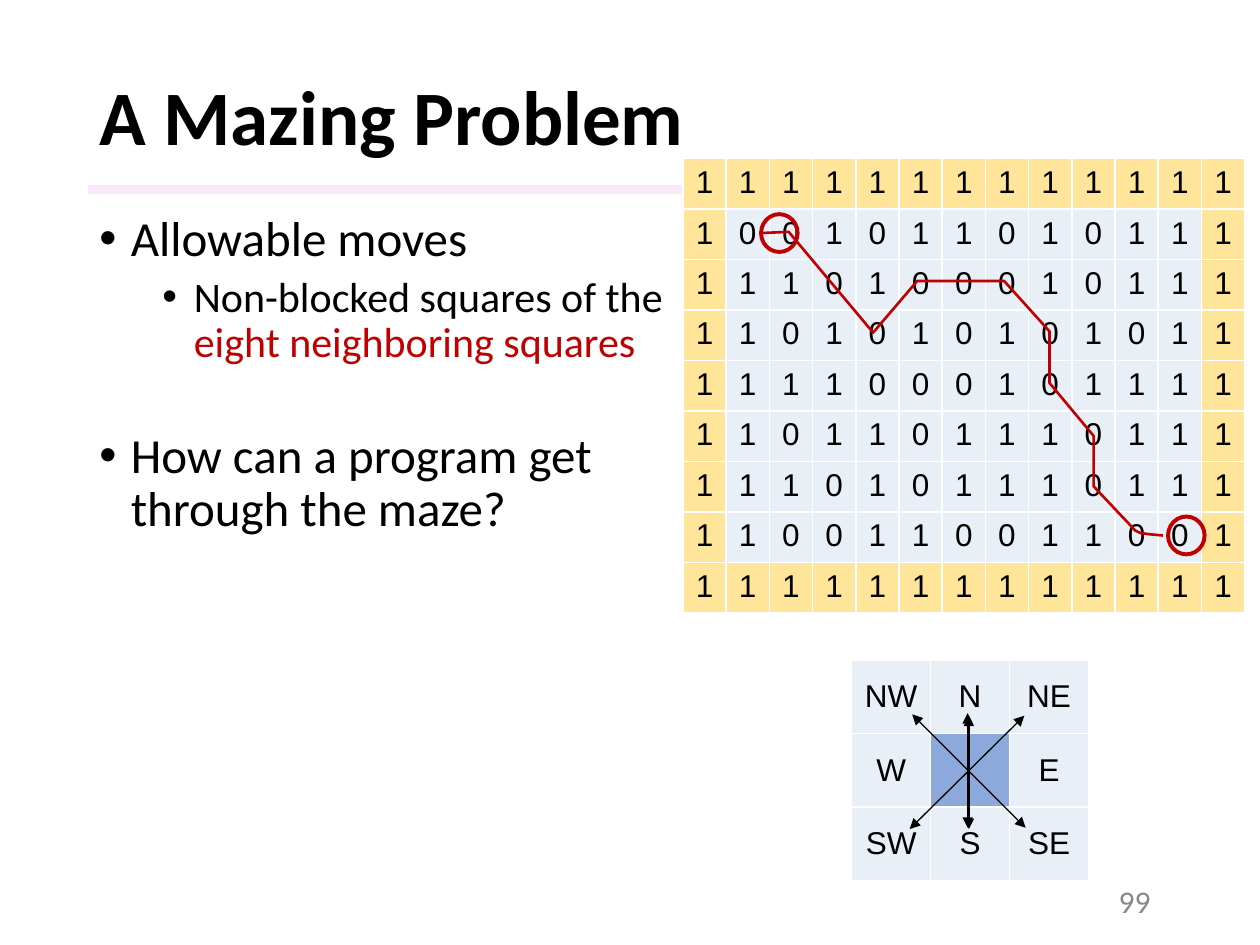
"""Build the maze problem slide with its grid, solution path and compass of moves."""
from lxml import etree
from pptx import Presentation
from pptx import util as u
from pptx.dml import color
from pptx.enum import shapes, text
from pptx.oxml import ns

THEME = {
    "ink": "000000", "accent": "C00000", "muted": "888888", "rule": "F3D2F4",
    "wall": "FEE599", "floor": "E9EFF7", "center": "8DA9DB",
    "body_font": "Calibri", "grid_font": "Arial",
    "title_size": 44, "point_size": 28, "detail_size": 24, "small_size": 18,
}
MAZE = [
    "1111111111111",
    "1001011010111",
    "1110100010111",
    "1101010101011",
    "1111000101111",
    "1101101110111",
    "1110101110111",
    "1100110011001",
    "1111111111111",
]
COMPASS = [["NW", "N", "NE"], ["W", "", "E"], ["SW", "S", "SE"]]


def style(target, ink=None, **values):
    for name, value in values.items():
        setattr(target, name, value)
    if ink:
        target.color.rgb = color.RGBColor.from_string(THEME[ink])


def add_grid(slide, box, rows, anchor, fill_for):
    frame = slide.shapes.add_table(len(rows), len(rows[0]), *map(u.Inches, box))
    table = frame.table
    style(table, first_row=False, horz_banding=False)
    for column in table.columns:
        column.width = int(u.Inches(box[2]) / len(rows[0]))
    for row_index, row in enumerate(rows):
        table.rows[row_index].height = int(u.Inches(box[3]) / len(rows))
        for column_index, label in enumerate(row):
            cell = table.cell(row_index, column_index)
            cell.fill.solid()
            fill = THEME[fill_for(row_index, column_index)]
            cell.fill.fore_color.rgb = color.RGBColor.from_string(fill)
            cell.vertical_anchor = anchor
            if label:
                paragraph = cell.text_frame.paragraphs[0]
                paragraph.alignment = text.PP_ALIGN.CENTER
                run = paragraph.add_run()
                run.text = label
                style(run.font, "ink", name=THEME["grid_font"], size=u.Pt(THEME["small_size"]))


presentation = Presentation()
style(presentation, slide_width=u.Inches(10), slide_height=u.Inches(7.5))
slide = presentation.slides.add_slide(presentation.slide_layouts[5])

rule = slide.shapes.add_shape(
    shapes.MSO_SHAPE.RECTANGLE, *map(u.Inches, (0.7, 1.47, 8.62, 0.07)))
rule.shadow.inherit = False
rule.fill.solid()
rule.fill.fore_color.rgb = color.RGBColor.from_string(THEME["rule"])
rule.line.fill.background()
rule_color = rule.fill._xPr.find(".//" + ns.qn("a:srgbClr"))
etree.SubElement(rule_color, ns.qn("a:alpha"), val="50000")

title = slide.shapes.title
style(title, left=u.Inches(0.69), top=u.Inches(0.4), width=u.Inches(8.62), height=u.Inches(1.11))
title.text_frame.text = "A Mazing Problem"
title.text_frame.vertical_anchor = text.MSO_ANCHOR.MIDDLE
title_paragraph = title.text_frame.paragraphs[0]
style(title_paragraph, alignment=text.PP_ALIGN.LEFT, line_spacing=0.9)
style(title_paragraph.runs[0].font, "ink", name=THEME["body_font"],
      size=u.Pt(THEME["title_size"]), bold=True)

body = slide.shapes.add_textbox(*map(u.Inches, (0.69, 1.65, 4.85, 5.58)))
body.text_frame.word_wrap = True
points = [
    (0, 0.25, 0, "point_size", [("Allowable moves", "ink")]),
    (1, 0.75, 5, "detail_size", [("Non-blocked squares of the ", "ink"),
                                 ("eight neighboring squares", "accent")]),
    (0, 0.25, 37, "point_size", [("How can a program get through the maze?", "ink")]),
]
for index, (level, indent, gap, size, pieces) in enumerate(points):
    paragraph = body.text_frame.add_paragraph() if index else body.text_frame.paragraphs[0]
    style(paragraph, level=level, line_spacing=0.9)
    if gap:
        paragraph.space_before = u.Pt(gap)
    properties = paragraph._p.get_or_add_pPr()
    properties.set("marL", str(u.Inches(indent)))
    properties.set("indent", str(u.Inches(-0.25)))
    bullet_color = etree.SubElement(properties, ns.qn("a:buClr"))
    etree.SubElement(bullet_color, ns.qn("a:srgbClr"), val=THEME["ink"])
    etree.SubElement(properties, ns.qn("a:buFont"), typeface=THEME["grid_font"])
    etree.SubElement(properties, ns.qn("a:buChar"), char="•")
    for wording, ink in pieces:
        run = paragraph.add_run()
        run.text = wording
        style(run.font, ink, name=THEME["body_font"], size=u.Pt(THEME[size]))

number = slide.shapes.add_textbox(*map(u.Inches, (6.98, 6.95, 2.25, 0.4)))
style(number.text_frame, text="99", word_wrap=True, vertical_anchor=text.MSO_ANCHOR.MIDDLE)
number_paragraph = number.text_frame.paragraphs[0]
number_paragraph.alignment = text.PP_ALIGN.RIGHT
style(number_paragraph.runs[0].font, "muted", name=THEME["body_font"],
      size=u.Pt(THEME["small_size"]))

add_grid(slide, (5.42, 1.26, 4.46, 3.42), MAZE, text.MSO_ANCHOR.TOP,
         lambda row, column: "wall" if row in (0, 8) or column in (0, 12) else "floor")

outlines = []
for left, top in [(6.04, 1.7), (9.27, 4.1)]:
    outlines.append((slide.shapes.add_shape(
        shapes.MSO_SHAPE.OVAL, *map(u.Inches, (left, top, 0.29, 0.3))), 2.25))

route = [(6.03, 1.85), (6.26, 1.84), (6.93, 2.64), (7.28, 2.23), (7.97, 2.23),
         (8.33, 2.63), (8.33, 3.04), (8.68, 3.46), (8.68, 3.86), (9.01, 4.21),
         (9.05, 4.23), (9.12, 4.24), (9.23, 4.25)]
route_points = [(u.Inches(x), u.Inches(y)) for x, y in route]
builder = slide.shapes.build_freeform(*route_points[0])
builder.add_line_segments(route_points[1:], close=False)
outlines.append((builder.convert_to_shape(), 1.5))
for shape, width in outlines:
    shape.shadow.inherit = False
    shape.fill.background()
    style(shape.line, "accent", width=u.Pt(width))

add_grid(slide, (6.76, 5.24, 1.88, 1.75), COMPASS, text.MSO_ANCHOR.MIDDLE,
         lambda row, column: "center" if row == column == 1 else "floor")

arrows = [(7.69, 6.58, 7.69, 5.68), (7.68, 6.57, 7.68, 5.66),
          (7.22, 6.58, 8.13, 5.68), (7.24, 5.67, 8.14, 6.57)]
for ends in arrows:
    arrow = slide.shapes.add_connector(shapes.MSO_CONNECTOR.STRAIGHT, *map(u.Inches, ends))
    style(arrow.line, "ink", width=u.Pt(0.75))
    for end in ("a:headEnd", "a:tailEnd"):
        etree.SubElement(arrow.line._get_or_add_ln(), ns.qn(end), type="triangle")
    etree.SubElement(arrow._element.spPr, ns.qn("a:effectLst"))

presentation.save("out.pptx")
